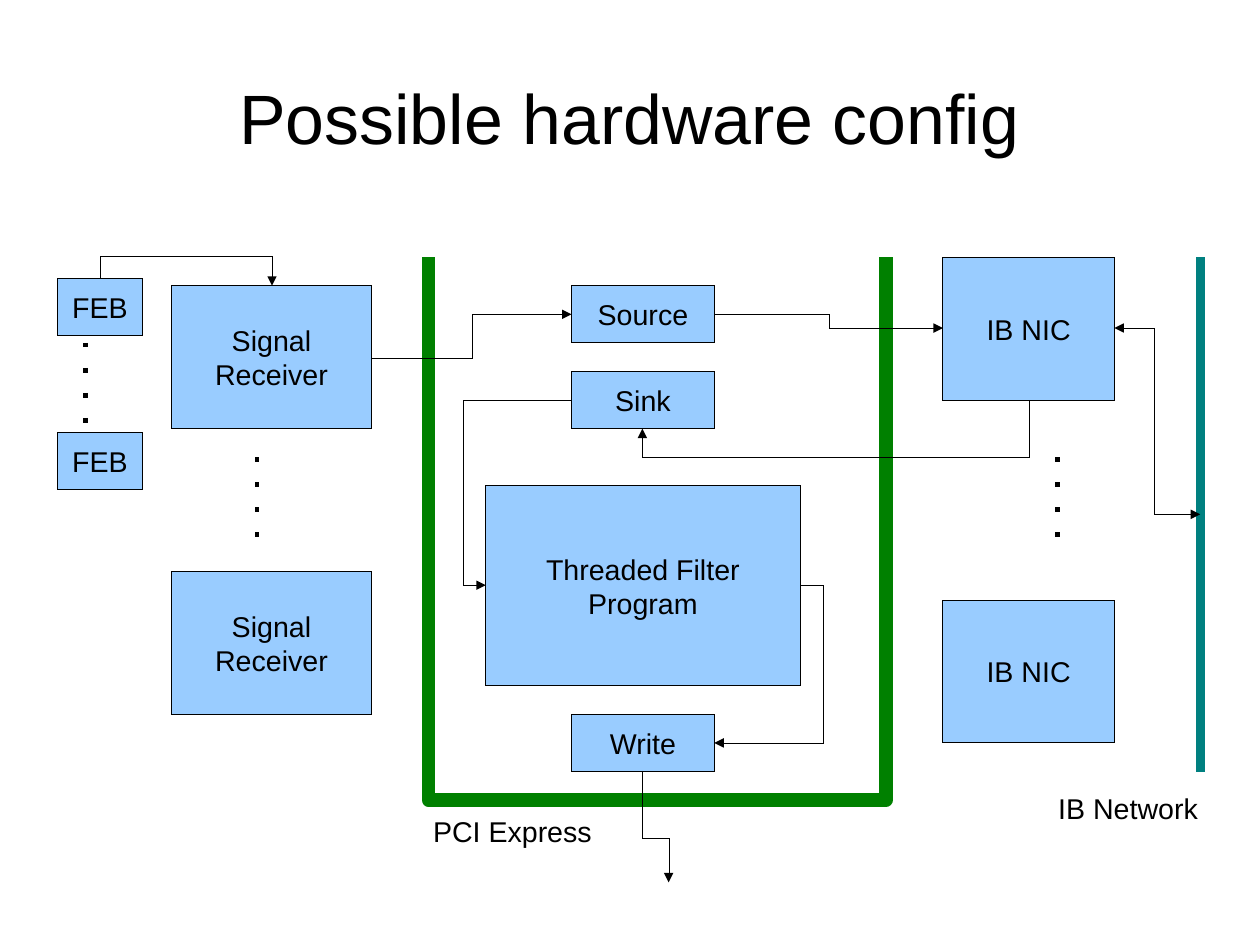
from dataclasses import dataclass

from lxml.etree import SubElement
from pptx import Presentation
from pptx.dml.color import RGBColor
from pptx.enum.shapes import MSO_CONNECTOR, MSO_SHAPE
from pptx.enum.text import MSO_ANCHOR, MSO_AUTO_SIZE, PP_ALIGN
from pptx.oxml.ns import qn
from pptx.util import Cm, Pt


@dataclass(frozen=True)
class Theme:
    font: str = "Arial"
    ink: RGBColor = RGBColor(0x00, 0x00, 0x00)
    block: RGBColor = RGBColor(0x99, 0xCC, 0xFF)
    bus: RGBColor = RGBColor(0x00, 0x80, 0x00)
    network: RGBColor = RGBColor(0x00, 0x80, 0x80)
    title_size: float = 44
    label_size: float = 18
    hairline: float = 0
    dots_width: float = 2.89
    network_width: float = 5.75
    bus_width: float = 8.65


THEME = Theme()
GRID = 2.54


def at(position):
    return Cm(position * GRID)


def write_text(shape, text, size=THEME.label_size, align=PP_ALIGN.CENTER,
               anchor=MSO_ANCHOR.MIDDLE, wrap=True, grow=False, margins=(0.1, 0.05)):
    frame = shape.text_frame
    frame.text = text
    frame.word_wrap = wrap
    frame.auto_size = MSO_AUTO_SIZE.SHAPE_TO_FIT_TEXT if grow else MSO_AUTO_SIZE.NONE
    frame.vertical_anchor = anchor
    frame.margin_left = frame.margin_right = at(margins[0])
    frame.margin_top = frame.margin_bottom = at(margins[1])
    for paragraph in frame.paragraphs:
        paragraph.alignment = align
        for run in paragraph.runs:
            run.font.name = THEME.font
            run.font.size = Pt(size)
            run.font.color.rgb = THEME.ink


def style_line(shape, color=THEME.ink, width=THEME.hairline):
    shape.line.color.rgb = color
    outline = shape.element.spPr.find(qn("a:ln"))
    outline.set("w", str(Pt(width)))
    return outline


def add_label(slide, text, left, top, width, height, **text_format):
    label = slide.shapes.add_textbox(at(left), at(top), at(width), at(height))
    write_text(label, text, **text_format)


def add_block(slide, text, left, top, width, height):
    block = slide.shapes.add_shape(
        MSO_SHAPE.RECTANGLE, at(left), at(top), at(width), at(height))
    block.shadow.inherit = False
    block.fill.solid()
    block.fill.fore_color.rgb = THEME.block
    style_line(block)
    write_text(block, text)


def add_bus(slide, corners):
    points = [(at(x), at(y)) for x, y in corners]
    builder = slide.shapes.build_freeform(*points[0])
    builder.add_line_segments(points[1:], close=False)
    bus = builder.convert_to_shape()
    bus.shadow.inherit = False
    bus.fill.background()
    outline = style_line(bus, THEME.bus, THEME.bus_width)
    SubElement(outline, qn("a:round"))


def add_line(slide, kind, start, end, **line_format):
    line = slide.shapes.add_connector(kind, *map(at, start + end))
    outline = style_line(line, **line_format)
    SubElement(line.element.spPr, qn("a:effectLst"))
    return line, outline


def add_dots(slide, x, top):
    _, outline = add_line(slide, MSO_CONNECTOR.STRAIGHT, (x, top), (x, top + 0.75),
                          width=THEME.dots_width)
    pattern = SubElement(outline, qn("a:custDash"))
    SubElement(pattern, qn("a:ds"), d="100000", sp="445000")


def add_route(slide, start, end, bend, downward=False, both_ways=False):
    (x1, y1), (x2, y2) = start, end
    axis = 1 if downward else 0
    if downward:
        center_x, center_y = (x1 + x2) / 2, (y1 + y2) / 2
        half_run, half_rise = abs(y2 - y1) / 2, abs(x2 - x1) / 2
        frame = ((center_x - half_run, center_y - half_rise),
                 (center_x + half_run, center_y + half_rise))
    else:
        frame = (start, end)
    route, outline = add_line(slide, MSO_CONNECTOR.ELBOW, *frame)
    properties = route.element.spPr
    if downward:
        transform = properties.find(qn("a:xfrm"))
        transform.set("rot", str((270 if x2 > x1 else 90) * 60000))
        if x2 > x1:
            transform.set("flipH", "1")
    share = (bend - start[axis]) / (end[axis] - start[axis])
    guides = properties.find(qn("a:prstGeom")).find(qn("a:avLst"))
    SubElement(guides, qn("a:gd"), name="adj1", fmla=f"val {round(share * 100000)}")
    if both_ways:
        SubElement(outline, qn("a:headEnd"), type="triangle")
    SubElement(outline, qn("a:tailEnd"), type="triangle")


def main():
    presentation = Presentation()
    presentation.slide_width = Cm(28)
    presentation.slide_height = Cm(21)
    slide = presentation.slides.add_slide(presentation.slide_layouts[6])

    add_label(slide, "Possible hardware config", 0.55, 0.33, 9.92, 1.38,
              size=THEME.title_size, margins=(0, 0))
    add_bus(slide, [(3.75, 2.25), (3.75, 7), (7.75, 7), (7.75, 2.25)])
    add_line(slide, MSO_CONNECTOR.STRAIGHT, (10.5, 2.25), (10.5, 6.75),
             color=THEME.network, width=THEME.network_width)

    for top in (2.44, 3.78):
        add_block(slide, "FEB", 0.5, top, 0.75, 0.5)
    for top in (2.5, 5):
        add_block(slide, "Signal\nReceiver", 1.5, top, 1.75, 1.25)
    for top in (2.25, 5.25):
        add_block(slide, "IB NIC", 8.25, top, 1.5, 1.25)
    for stage, top in (("Source", 2.5), ("Sink", 3.25), ("Write", 6.25)):
        add_block(slide, stage, 5, top, 1.25, 0.5)
    add_block(slide, "Threaded Filter\nProgram", 4.25, 4.25, 2.75, 1.75)

    for x, top in ((0.75, 3), (2.25, 4), (9.25, 4)):
        add_dots(slide, x, top)

    add_route(slide, (0.88, 2.43), (2.38, 2.5), 2.24, downward=True)
    add_route(slide, (3.25, 3.13), (5, 2.75), 4.13)
    add_route(slide, (6.25, 2.75), (8.25, 2.87), 7.25)
    add_route(slide, (9, 3.5), (5.62, 3.75), 4, downward=True)
    add_route(slide, (9.75, 2.87), (10.5, 4.5), 10.1, both_ways=True)
    add_route(slide, (5, 3.5), (4.25, 5.12), 4.05)
    add_route(slide, (7, 5.12), (6.25, 6.5), 7.2)
    add_route(slide, (5.62, 6.75), (5.85, 7.72), 7.33, downward=True)

    for name, left, top, width in (("PCI Express", 3.69, 7.07, 1.59),
                                   ("IB Network", 9.16, 6.87, 1.42)):
        add_label(slide, name, left, top, width, 0.38, align=PP_ALIGN.LEFT,
                  anchor=MSO_ANCHOR.TOP, wrap=False, grow=True)

    presentation.save("out.pptx")


if __name__ == "__main__":
    main()
